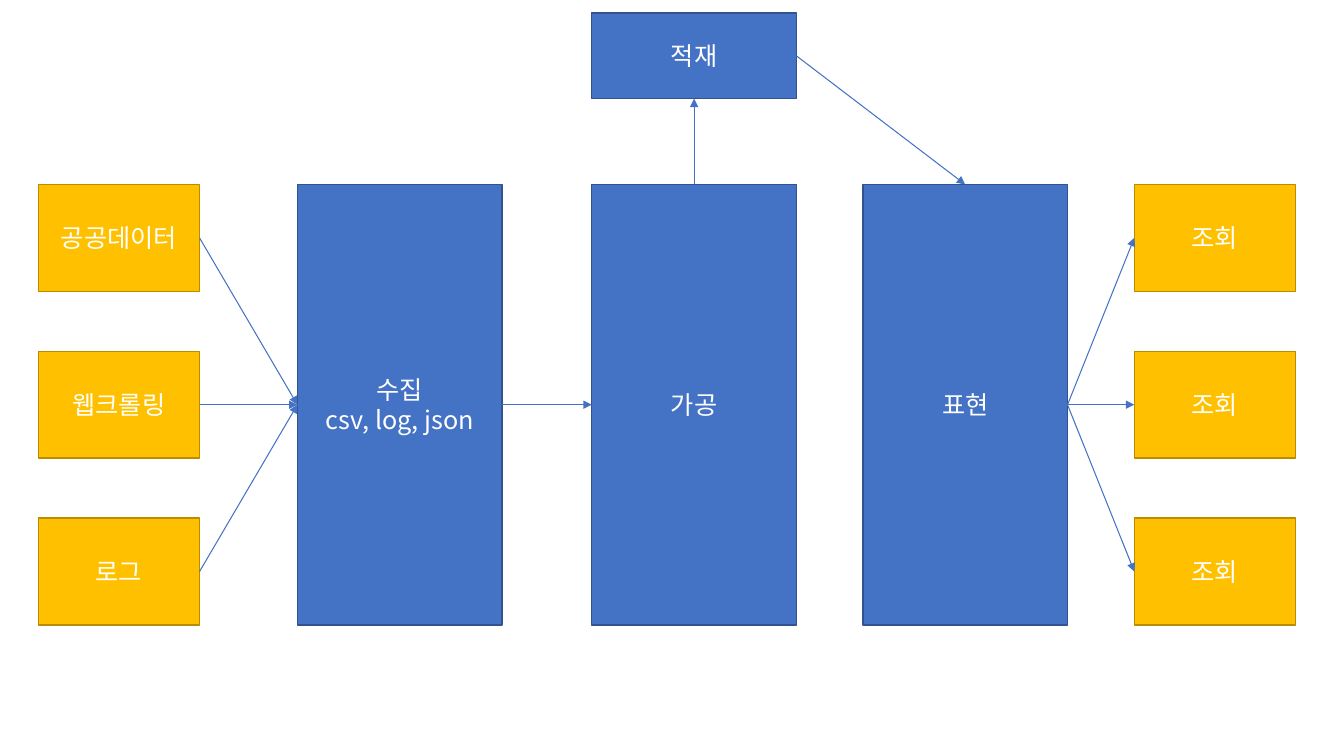
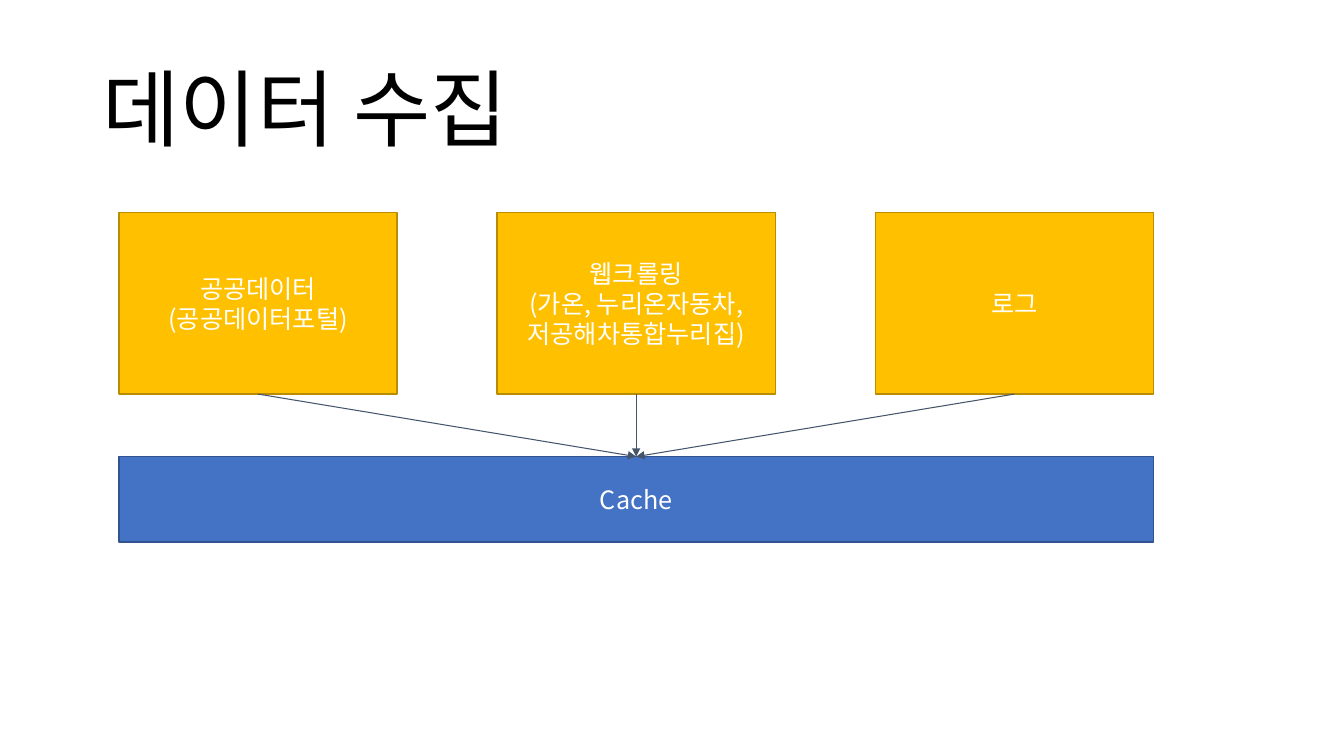
from dataclasses import dataclass

from lxml.etree import SubElement
from pptx import Presentation
from pptx.dml.color import RGBColor
from pptx.enum.shapes import MSO_CONNECTOR as CONN, MSO_SHAPE as SHAPE
from pptx.enum.text import MSO_ANCHOR as ANCHOR, PP_ALIGN as ALIGN
from pptx.oxml.ns import qn
from pptx.shapes.autoshape import Shape
from pptx.slide import Slide
from pptx.text.text import TextFrame
from pptx.util import Inches, Pt

WIDTH, HEIGHT = Inches(13.33), Inches(7.5)
FONT = "Noto Sans CJK KR"
WHITE = RGBColor(0xFF, 0xFF, 0xFF)
BLACK = RGBColor(0x00, 0x00, 0x00)
BLUE = RGBColor(0x44, 0x72, 0xC4)
BLUE_EDGE = RGBColor(0x31, 0x53, 0x8F)
GOLD = RGBColor(0xFF, 0xC0, 0x00)
GOLD_EDGE = RGBColor(0xBA, 0x8C, 0x00)
SLATE = RGBColor(0x44, 0x54, 0x6A)
TOP, LEFT, BOTTOM, RIGHT = range(4)


@dataclass(frozen=True)
class Style:
    """Fill and outline colours of a box."""

    fill: RGBColor
    edge: RGBColor


@dataclass(frozen=True)
class Area:
    """A rectangle in percent of the slide's width and height."""

    x: float
    y: float
    w: float
    h: float

    def emu(self) -> tuple[int, int, int, int]:
        """Return left, top, width and height in EMU."""
        return (int(WIDTH * self.x / 100), int(HEIGHT * self.y / 100),
                int(WIDTH * self.w / 100), int(HEIGHT * self.h / 100))

    def split_rows(self, n: int, h: float) -> list["Area"]:
        """Place n areas of height h evenly from top to bottom."""
        step = (self.h - h) / (n - 1)
        return [Area(self.x, self.y + i * step, self.w, h) for i in range(n)]

    def split_cols(self, n: int, w: float) -> list["Area"]:
        """Place n areas of width w evenly from left to right."""
        step = (self.w - w) / (n - 1)
        return [Area(self.x + i * step, self.y, w, self.h) for i in range(n)]


STAGE = Style(BLUE, BLUE_EDGE)
ENDPOINT = Style(GOLD, GOLD_EDGE)
TITLE_AREA = Area(6.9, 5.33, 86.25, 19.33)
STAGE_Y, STAGE_W, STAGE_H = 24.4, 15.23, 58.27
END_W, END_H = 12, 14.13
BAR_H = 11.33


def write(tf: TextFrame, lines: list[str], size: int, color: RGBColor,
          align: ALIGN) -> None:
    """Write one paragraph per line, centred vertically."""
    tf.word_wrap = True
    tf.vertical_anchor = ANCHOR.MIDDLE
    for i, line in enumerate(lines):
        p = tf.add_paragraph() if i else tf.paragraphs[0]
        p.alignment = align
        r = p.add_run()
        r.text = line
        r.font.size = Pt(size)
        r.font.name = FONT
        r.font.color.rgb = color
        SubElement(r.font._element, qn("a:ea")).set("typeface", FONT)


def add_title(s: Slide, text: str) -> None:
    """Add the slide title."""
    tf = s.shapes.add_textbox(*TITLE_AREA.emu()).text_frame
    write(tf, [text], 60, BLACK, ALIGN.LEFT)
    tf.paragraphs[0].line_spacing = 0.9


def add_box(s: Slide, area: Area, style: Style, *lines: str) -> Shape:
    """Add a filled rectangle with centred text."""
    sp = s.shapes.add_shape(SHAPE.RECTANGLE, *area.emu())
    sp.shadow.inherit = False
    sp.fill.solid()
    sp.fill.fore_color.rgb = style.fill
    sp.line.color.rgb = style.edge
    sp.line.width = Pt(1)
    write(sp.text_frame, list(lines), 18, WHITE, ALIGN.CENTER)
    return sp


def add_arrow(s: Slide, start: Shape, start_side: int, end: Shape,
              end_side: int, color: RGBColor = BLUE) -> None:
    """Connect the sides of two boxes with an arrow."""
    cx = s.shapes.add_connector(CONN.STRAIGHT, 0, 0, 0, 0)
    cx.begin_connect(start, start_side)
    cx.end_connect(end, end_side)
    cx.line.color.rgb = color
    cx.line.width = Pt(0.75)
    SubElement(cx.line._get_or_add_ln(), qn("a:tailEnd")).set("type", "triangle")
    SubElement(cx._element.spPr, qn("a:effectLst"))


def build_pipeline(s: Slide) -> None:
    """Draw the flow from data sources to queries."""
    collect, process, present = (
        add_box(s, Area(x, STAGE_Y, STAGE_W, STAGE_H), STAGE, *lines)
        for x, lines in ((22.13, ("수집", "csv, log, json")),
                         (44.03, ("가공",)), (64.2, ("표현",))))
    store = add_box(s, Area(44.03, 1.73, STAGE_W, BAR_H), STAGE, "적재")
    sources, queries = (
        [add_box(s, area, ENDPOINT, name) for area, name in zip(
            Area(x, STAGE_Y, END_W, STAGE_H).split_rows(3, END_H), names)]
        for x, names in ((2.85, ("공공데이터", "웹크롤링", "로그")),
                         (84.4, ("조회",) * 3)))
    for source in sources:
        add_arrow(s, source, RIGHT, collect, LEFT)
    add_arrow(s, collect, RIGHT, process, LEFT)
    add_arrow(s, process, TOP, store, BOTTOM)
    add_arrow(s, store, RIGHT, present, TOP)
    for query in queries:
        add_arrow(s, present, RIGHT, query, LEFT)


def build_collection(s: Slide) -> None:
    """Draw the data sources feeding one store."""
    add_title(s, "데이터 수집")
    band = Area(8.85, 28.13, 76.97, 24)
    store = add_box(s, Area(band.x, 60.4, band.w, BAR_H), STAGE, "Cache")
    texts = (("공공데이터", "(공공데이터포털)"),
             ("웹크롤링", "(가온, 누리온자동차, 저공해차통합누리집)"),
             ("로그",))
    for area, lines in zip(band.split_cols(3, 20.7), texts):
        source = add_box(s, area, ENDPOINT, *lines)
        add_arrow(s, source, BOTTOM, store, TOP, SLATE)


def main() -> None:
    """Build and save the presentation."""
    prs = Presentation()
    prs.slide_width, prs.slide_height = WIDTH, HEIGHT
    for build in (build_pipeline, build_collection):
        build(prs.slides.add_slide(prs.slide_layouts[6]))
    prs.save("out.pptx")


if __name__ == "__main__":
    main()
